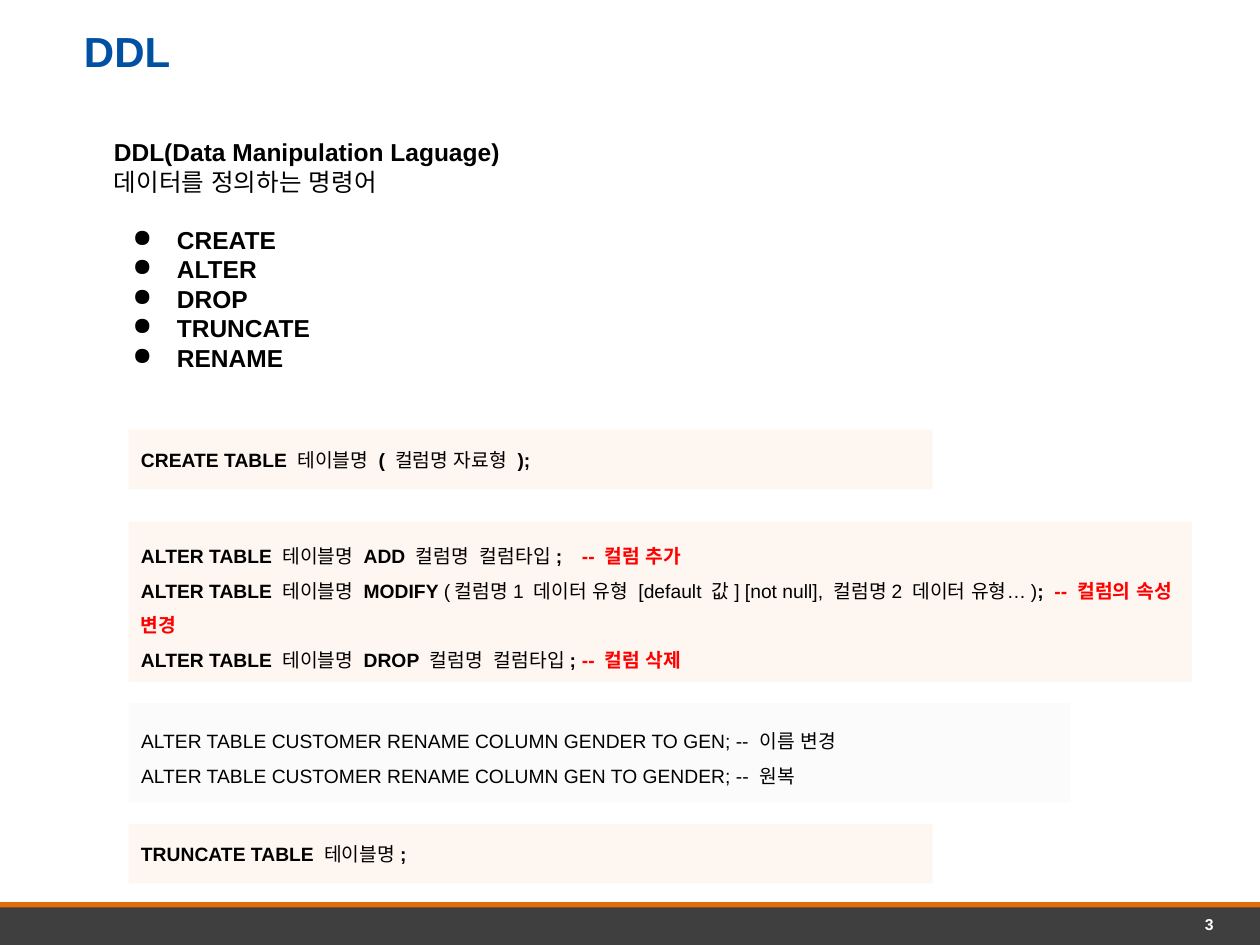
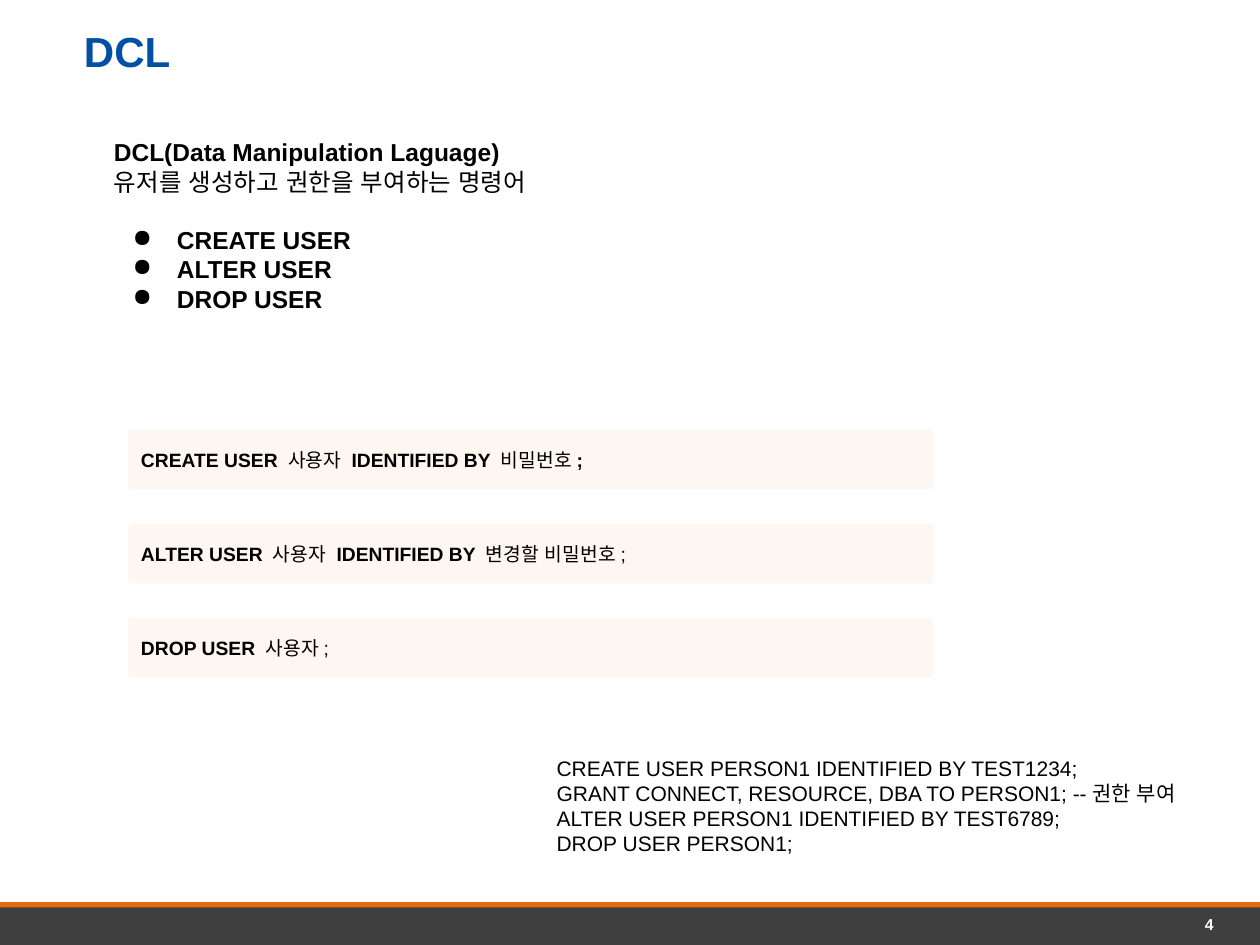
from lxml import etree
from pptx import Presentation
from pptx.dml.color import RGBColor
from pptx.enum import shapes, text
from pptx.oxml.ns import qn
from pptx.util import Pt

BLUE = RGBColor(0x00, 0x50, 0xA4)
BLACK = RGBColor(0x00, 0x00, 0x00)
WHITE = RGBColor(0xFF, 0xFF, 0xFF)
RED = RGBColor(0xFF, 0x00, 0x00)
CHARCOAL = RGBColor(0x3F, 0x3F, 0x3F)
ORANGE = RGBColor(0xE3, 0x6C, 0x09)
PEACH = RGBColor(0xFE, 0xF6, 0xF0)
PALE = RGBColor(0xFB, 0xFB, 0xFB)

FONT = "Arial"
SLIDE_W, SLIDE_H = 720, 540
BAND_TOP = 517.5
CODE_X, CODE_Y = 73.5, 245.5
CODE_W, CODE_H, CODE_STEP = 459.5, 34, 53.75

BOLD = {"bold": True, "color": BLACK}
PLAIN = {"bold": False, "color": BLACK}
NOTE = {"bold": True, "color": RED}


def add_run(p, content, size, style):
    r = p.add_run()
    r.text = content
    for name, value in {"name": FONT, "size": Pt(size), "bold": style["bold"]}.items():
        setattr(r.font, name, value)
    r.font.color.rgb = style["color"]
    etree.SubElement(r.font._element, qn("a:ea"), typeface=FONT)


def fill_text(tf, lines, size, **para_format):
    for i, line in enumerate(lines):
        p = tf.paragraphs[0] if i == 0 else tf.add_paragraph()
        for name, value in para_format.items():
            setattr(p, name, value)
        for style, content in line:
            add_run(p, content, size, style)


def set_frame(tf, insets, anchor=text.MSO_ANCHOR.TOP):
    left, top, right, bottom = map(Pt, insets)
    frame = {"margin_left": left, "margin_top": top, "margin_right": right,
             "margin_bottom": bottom, "word_wrap": True,
             "auto_size": text.MSO_AUTO_SIZE.NONE, "vertical_anchor": anchor}
    for name, value in frame.items():
        setattr(tf, name, value)


def add_rect(s, box, color):
    sp = s.shapes.add_shape(shapes.MSO_SHAPE.RECTANGLE, *map(Pt, box))
    sp.shadow.inherit = False
    sp.fill.solid()
    sp.fill.fore_color.rgb = color
    sp.line.fill.background()
    return sp


def add_text(s, box, insets, lines, size, **para_format):
    tf = s.shapes.add_textbox(*map(Pt, box)).text_frame
    set_frame(tf, insets)
    fill_text(tf, lines, size, **para_format)
    return tf


def add_footer(s, top, number):
    add_rect(s, (0, top, SLIDE_W, SLIDE_H - top), CHARCOAL)
    add_rect(s, (0, top - 2, SLIDE_W, 3), ORANGE)
    add_text(s, (502.5, top + 5.2, 191, 11), (0, 0, 0, 0),
             [[({"bold": True, "color": WHITE}, str(number))]], 9,
             alignment=text.PP_ALIGN.RIGHT)


def add_title(s, box, title):
    sp = s.shapes.title
    for name, value in zip(("left", "top", "width", "height"), box):
        setattr(sp, name, Pt(value))
    set_frame(sp.text_frame, (48, 14.4, 7.2, 3.6))
    fill_text(sp.text_frame, [[({"bold": True, "color": BLUE}, title)]], 24,
              alignment=text.PP_ALIGN.LEFT)


def add_bullet(p):
    pPr = p._p.get_or_add_pPr()
    pPr.set("marL", str(Pt(36)))
    pPr.set("indent", str(Pt(-25.2)))
    color = etree.SubElement(pPr, qn("a:buClr"))
    etree.SubElement(color, qn("a:srgbClr"), val=str(BLACK))
    etree.SubElement(pPr, qn("a:buChar"), char="●")


def add_intro(s, box, heading, meaning, commands):
    lines = [[(BOLD, heading)], [(PLAIN, meaning)]]
    lines += [[(BOLD, command)] for command in commands]
    tf = add_text(s, box, (7.2,) * 4, lines, 14)
    bullets = tf.paragraphs[2:]
    bullets[0].space_before = Pt(16.5)
    for p in bullets:
        add_bullet(p)


def add_code(s, box, lines, color=PEACH, spacing=1.0):
    tf = add_rect(s, box, color).text_frame
    set_frame(tf, (7.2, 3.6, 7.2, 3.6), text.MSO_ANCHOR.MIDDLE)
    fill_text(tf, lines, 11, alignment=text.PP_ALIGN.LEFT, line_spacing=spacing)


def start_slide(prs, number, title, meaning, commands):
    s = prs.slides.add_slide(prs.slide_layouts[5])
    add_footer(s, BAND_TOP, number)
    add_title(s, (0, 0, SLIDE_W, 47), title)
    add_intro(s, (58, 71.3, 662, 150), f"{title}(Data Manipulation Laguage)",
              meaning, commands)
    return s


def alter_line(action, target, end, note):
    return [(BOLD, "ALTER TABLE"), (PLAIN, " 테이블명 "), (BOLD, action),
            (PLAIN, target), (BOLD, end), (NOTE, note)]


def build_ddl(prs):
    s = start_slide(prs, 3, "DDL", "데이터를 정의하는 명령어",
                    ["CREATE", "ALTER", "DROP", "TRUNCATE", "RENAME"])
    add_code(s, (CODE_X, CODE_Y, CODE_W, CODE_H),
             [[(BOLD, "CREATE TABLE"), (PLAIN, " 테이블명 "), (BOLD, "( "),
               (PLAIN, "컬럼명 자료형 "), (BOLD, ");")]])
    column = " 컬럼명  컬럼타입"
    options = "(컬럼명1 데이터 유형 [default 값] [not null], 컬럼명2 데이터 유형…)"
    add_code(s, (CODE_X, 298.2, 607.7, 91.5),
             [alter_line("ADD", column, ";\t", "-- 컬럼 추가"),
              alter_line("MODIFY ", options, ";  ", "-- 컬럼의 속성 변경"),
              alter_line("DROP", column, ";\t", "-- 컬럼 삭제")], spacing=1.5)
    rename = "ALTER TABLE CUSTOMER RENAME COLUMN {} TO {}; -- {}"
    add_code(s, (CODE_X, 401.8, 538, 56.6),
             [[(PLAIN, rename.format(*names))] for names in
              [("GENDER", "GEN", "이름 변경"), ("GEN", "GENDER", "원복")]],
             PALE, 1.5)
    add_code(s, (CODE_X, 470.8, CODE_W, CODE_H),
             [[(BOLD, "TRUNCATE TABLE"), (PLAIN, " 테이블명"), (BOLD, ";")]])


def build_dcl(prs):
    s = start_slide(prs, 4, "DCL", "유저를 생성하고 권한을 부여하는 명령어",
                    ["CREATE USER", "ALTER USER", "DROP USER"])
    identified = (BOLD, " IDENTIFIED BY ")
    statements = [
        [(BOLD, "CREATE USER "), (PLAIN, "사용자"), identified,
         (PLAIN, "비밀번호"), (BOLD, ";")],
        [(BOLD, "ALTER USER "), (PLAIN, "사용자"), identified,
         (PLAIN, "변경할 비밀번호;")],
        [(BOLD, "DROP USER "), (PLAIN, "사용자;")],
    ]
    for i, statement in enumerate(statements):
        add_code(s, (CODE_X, CODE_Y + i * CODE_STEP, CODE_W, CODE_H), [statement])
    examples = ["CREATE USER PERSON1 IDENTIFIED BY TEST1234;",
                "GRANT CONNECT, RESOURCE, DBA TO PERSON1; --권한 부여",
                "ALTER USER PERSON1 IDENTIFIED BY TEST6789;",
                "DROP USER PERSON1;"]
    add_text(s, (311, 424.3, 409, 72.7), (7.2,) * 4,
             [[(PLAIN, example)] for example in examples], 12)


def main():
    prs = Presentation()
    prs.slide_width, prs.slide_height = Pt(SLIDE_W), Pt(SLIDE_H)
    build_ddl(prs)
    build_dcl(prs)
    prs.save("out.pptx")


if __name__ == "__main__":
    main()
